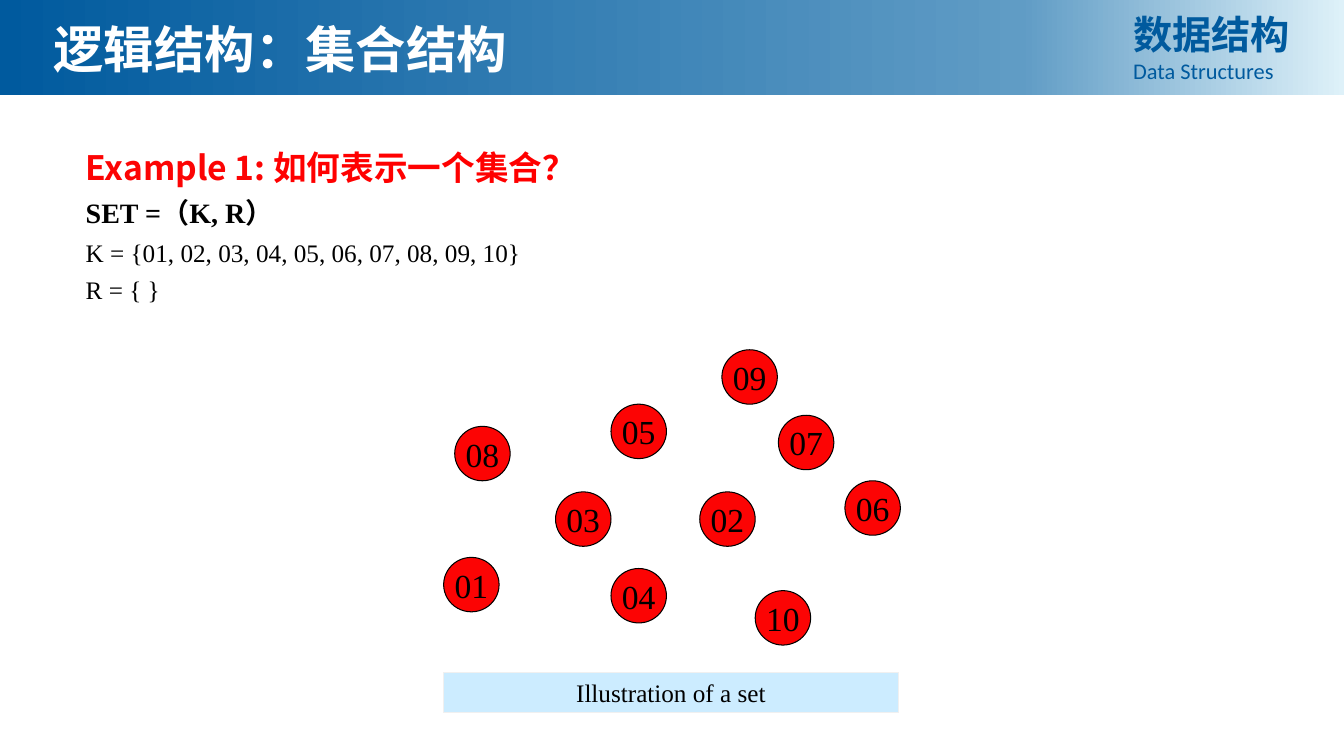
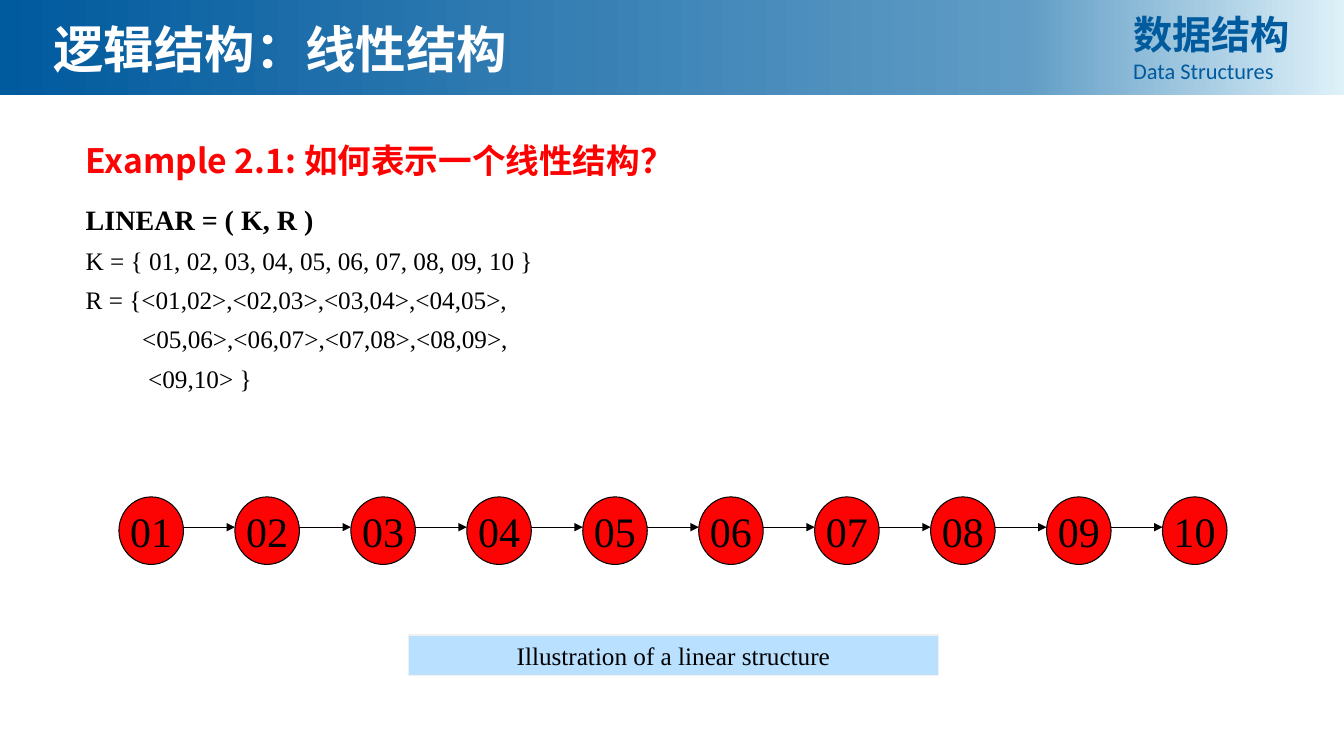
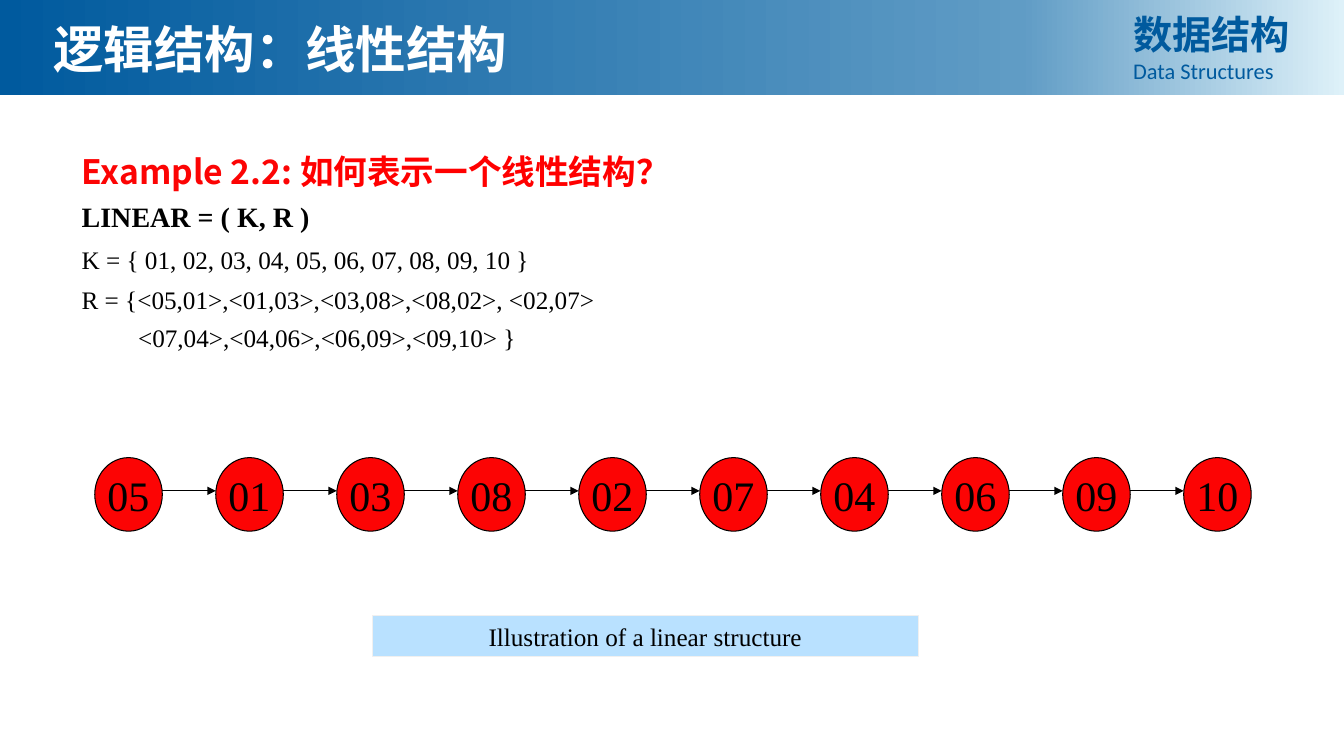
"""Build three slides on the logical structures of data: set and linear."""
from copy import deepcopy

from pptx import Presentation
from pptx.dml.color import RGBColor
from pptx.enum import shapes, text
from pptx.oxml.ns import qn
from pptx.util import Inches, Pt

BLUE = RGBColor(0x00, 0x5A, 0x9E)
MID_BLUE = RGBColor(0x60, 0x9C, 0xC5)
PALE_BLUE = RGBColor(0xDE, 0xF1, 0xF9)
WHITE = RGBColor(0xFF, 0xFF, 0xFF)
BLACK = RGBColor(0x00, 0x00, 0x00)
RED = RGBColor(0xFC, 0x04, 0x04)
PURE_RED = RGBColor(0xFF, 0x00, 0x00)
EDGE_GREY = RGBColor(0xF0, 0xF0, 0xF0)
SET_CAPTION = RGBColor(0xCC, 0xEC, 0xFF)
LINEAR_CAPTION = RGBColor(0xB9, 0xE1, 0xFF)

SERIF, HAN = "Times New Roman", "Noto Sans CJK SC"
CENTER, JUSTIFY = text.PP_ALIGN.CENTER, text.PP_ALIGN.JUSTIFY
BAND_STOPS = [(0, BLUE), (0.76, MID_BLUE), (1, PALE_BLUE)]
LINEAR_K = "K = { 01, 02, 03, 04, 05, 06, 07, 08, 09, 10 }"

SLIDES = [
    dict(
        title="逻辑结构：集合结构",
        body_at=(0.75, 1.31, 11.63, 1.75),
        example=("Example 1: ", "如何表示一个集合？"),
        pair=("SET =（K, R）", 0),
        definitions=[
            ("K = {01, 02, 03, 04, 05, 06, 07, 08, 09, 10}", 0, 0),
            ("R = { }", 0, 0),
        ],
        definition_gap=0,
        nodes=[
            ("08", 4.51, 4.23), ("01", 4.4, 5.53), ("03", 5.51, 4.88),
            ("05", 6.06, 4.01), ("02", 6.94, 4.88), ("07", 7.72, 4.12),
            ("04", 6.06, 5.64), ("06", 8.38, 4.77), ("09", 7.16, 3.47),
            ("10", 7.49, 5.86),
        ],
        node_format=(0.55, 0.54, 24),
        caption=("Illustration of a set", SET_CAPTION, (4.4, 6.67, 4.51, 0.4)),
    ),
    dict(
        title="逻辑结构：线性结构",
        body_at=(0.75, 1.24, 11.39, 5.26),
        example=("Example 2.1: ", "如何表示一个线性结构？"),
        pair=("LINEAR = ( K, R )", 10),
        definitions=[
            (LINEAR_K, 0, 0),
            ("R = {<01,02>,<02,03>,<03,04>,<04,05>,", 0, 0),
            ("<05,06>,<06,07>,<07,08>,<08,09>,", 0.56, 0),
            ("<09,10> }", 0.62, 0),
        ],
        definition_gap=1,
        chain=dict(order="01 02 03 04 05 06 07 08 09 10", left=1.18, top=4.93,
                   pitch=1.15, arrow_drop=0.3),
        node_format=(0.64, 0.67, 30),
        caption=("Illustration of a linear structure", LINEAR_CAPTION,
                 (4.05, 6.3, 5.26, 0.4)),
    ),
    dict(
        title="逻辑结构：线性结构",
        body_at=(0.71, 1.35, 12.45, 6.1),
        example=("Example 2.2: ", "如何表示一个线性结构？"),
        pair=("LINEAR = ( K, R )", 0),
        definitions=[
            (LINEAR_K, 0, 0),
            ("R = {<05,01>,<01,03>,<03,08>,<08,02>, <02,07>\n"
             "<07,04>,<04,06>,<06,09>,<09,10> }", 0.56, -0.56),
        ],
        definition_gap=2,
        chain=dict(order="05 01 03 08 02 07 04 06 09 10", left=0.94, top=4.54,
                   pitch=1.2, arrow_drop=0.33),
        node_format=(0.67, 0.73, 30),
        caption=("Illustration of a linear structure", LINEAR_CAPTION,
                 (3.69, 6.11, 5.42, 0.4)),
    ),
]


def inches(values):
    return [Inches(value) for value in values]


def place(part, at):
    part.left, part.top, part.width, part.height = inches(at)


def write(paragraph, words, size=18, font=SERIF, color=BLACK, bold=False, align=None):
    if align is not None:
        paragraph.alignment = align
    for number, line in enumerate(words.split("\n")):
        if number:
            paragraph.add_line_break()
        run = paragraph.add_run()
        run.text = line
        run.font.size, run.font.bold, run.font.name = Pt(size), bold, font
        run.font.color.rgb = color
        east_asian = run.font._element.makeelement(qn("a:ea"), {"typeface": HAN})
        run.font._element.find(qn("a:latin")).addnext(east_asian)


def add_box(slide, kind, at, fill, edge):
    box = slide.shapes.add_shape(kind, *inches(at))
    box.shadow.inherit = False
    box.fill.solid()
    box.fill.fore_color.rgb = fill
    box.line.color.rgb = edge
    box.line.width = Pt(0.75)
    box.text_frame.vertical_anchor = text.MSO_ANCHOR.MIDDLE
    return box


def add_node(slide, label, left, top, node_format):
    width, height, size = node_format
    node = add_box(slide, shapes.MSO_SHAPE.FLOWCHART_CONNECTOR,
                   (left, top, width, height), RED, BLACK)
    node.text_frame.word_wrap = False
    write(node.text_frame.paragraphs[0], label, size=size, align=CENTER)


def add_arrow(slide, start, end, y):
    arrow = slide.shapes.add_connector(shapes.MSO_CONNECTOR.STRAIGHT,
                                       *inches((start, y, end, y)))
    arrow.line.color.rgb = BLACK
    arrow.line.width = Pt(0.75)
    line = arrow.line._get_or_add_ln()
    line.append(line.makeelement(qn("a:tailEnd"), {"type": "triangle"}))
    line.addnext(line.makeelement(qn("a:effectLst"), {}))


def add_chain(slide, node_format, order, left, top, pitch, arrow_drop):
    labels = order.split()
    lefts = [left + pitch * number for number in range(len(labels))]
    for label, node_left in zip(labels, lefts):
        add_node(slide, label, node_left, top, node_format)
    for before, after in zip(lefts, lefts[1:]):
        add_arrow(slide, before + node_format[0], after, top + arrow_drop)


def move_header_to_layout(slide, layout):
    band = slide.shapes.add_shape(shapes.MSO_SHAPE.RECTANGLE,
                                  *inches((0, 0, 13.33, 0.94)))
    band.shadow.inherit = False
    band.line.fill.background()
    band.fill.gradient()
    band.fill.gradient_angle = 0
    stop_list = band.element.find(".//" + qn("a:gsLst"))
    stop_list.append(deepcopy(stop_list[0]))
    for stop, (position, color) in zip(band.fill.gradient_stops, BAND_STOPS):
        stop.position = position
        stop.color.rgb = color

    course = slide.shapes.add_textbox(*inches((11.14, 0.05, 1.91, 0.84)))
    course.text_frame.word_wrap = True
    write(course.text_frame.paragraphs[0], "数据结构", size=28, font=HAN,
          color=BLUE, bold=True, align=JUSTIFY)
    write(course.text_frame.add_paragraph(), "Data Structures", size=16,
          font="Calibri", color=BLUE, align=JUSTIFY)
    for depth, part in enumerate((band, course), start=2):
        layout.shapes.element.insert(depth, part.element)


def fill_title(slide, words):
    title = slide.shapes.title
    place(title, (0.43, 0.12, 8.44, 0.71))
    title.text_frame.auto_size = text.MSO_AUTO_SIZE.NONE
    write(title.text_frame.paragraphs[0], words, size=36, color=WHITE, bold=True,
          align=text.PP_ALIGN.LEFT)


def format_line(paragraph, before=0, left=0, indent=0):
    properties = paragraph._p.get_or_add_pPr()
    properties.set("marL", str(Inches(left)))
    properties.set("indent", str(Inches(indent)))
    properties.append(properties.makeelement(qn("a:buNone"), {}))
    paragraph.line_spacing = 1.25
    paragraph.space_before = Pt(before)
    return paragraph


def fill_body(slide, content):
    body = slide.placeholders[1]
    place(body, content["body_at"])
    frame = body.text_frame
    frame.auto_size = text.MSO_AUTO_SIZE.NONE
    heading = format_line(frame.paragraphs[0])
    for words, color in zip(content["example"], (RED, PURE_RED)):
        write(heading, words, size=24, font=HAN, color=color, bold=True)
    words, before = content["pair"]
    write(format_line(frame.add_paragraph(), before), words, size=20, bold=True)
    for words, left, indent in content["definitions"]:
        write(format_line(frame.add_paragraph(), content["definition_gap"], left, indent),
              words)


def main():
    deck = Presentation()
    deck.slide_width, deck.slide_height = Inches(13.33), Inches(7.5)
    layout = deck.slide_layouts[1]
    for number, content in enumerate(SLIDES):
        slide = deck.slides.add_slide(layout)
        if number == 0:
            move_header_to_layout(slide, layout)
        fill_title(slide, content["title"])
        fill_body(slide, content)
        for label, left, top in content.get("nodes", []):
            add_node(slide, label, left, top, content["node_format"])
        if "chain" in content:
            add_chain(slide, content["node_format"], **content["chain"])
        words, fill, at = content["caption"]
        caption = add_box(slide, shapes.MSO_SHAPE.RECTANGLE, at, fill, EDGE_GREY)
        write(caption.text_frame.paragraphs[0], words, align=CENTER)
    deck.save("out.pptx")


if __name__ == "__main__":
    main()
